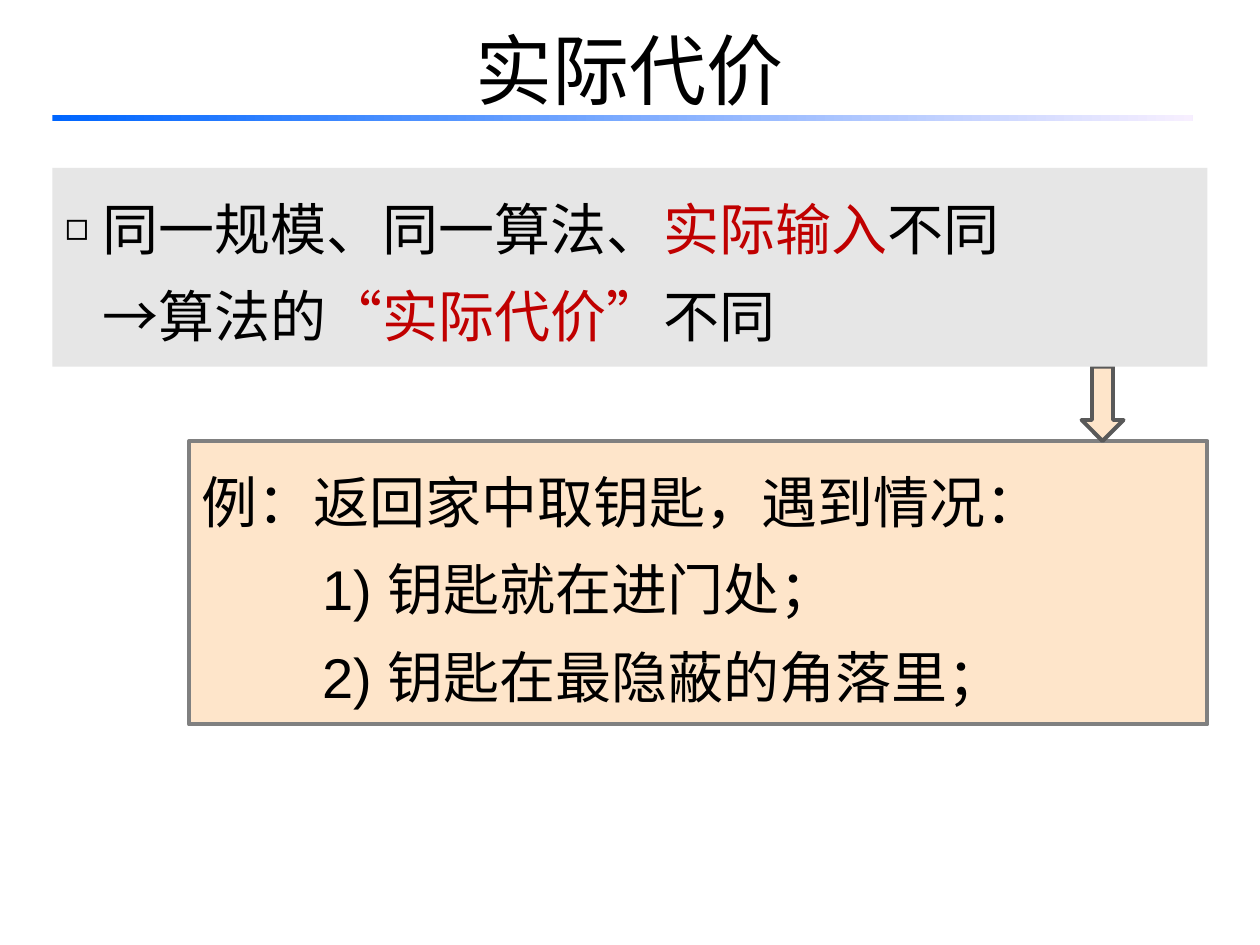
"""Build a slide on how the actual cost of an algorithm depends on its input."""
from lxml import etree
from pptx import Presentation
from pptx.dml.color import RGBColor
from pptx.enum.lang import MSO_LANGUAGE_ID
from pptx.enum.shapes import MSO_SHAPE
from pptx.enum.text import MSO_ANCHOR, PP_ALIGN
from pptx.oxml.ns import qn
from pptx.util import Pt

RECT, DOWN_ARROW = MSO_SHAPE.RECTANGLE, MSO_SHAPE.DOWN_ARROW
TOP, MIDDLE = MSO_ANCHOR.TOP, MSO_ANCHOR.MIDDLE
LEFT, CENTER = PP_ALIGN.LEFT, PP_ALIGN.CENTER
CHINESE = MSO_LANGUAGE_ID.SIMPLIFIED_CHINESE
FONT = "Arial"
COLORS = {
    "text": "000000", "accent": "C00000", "panel": "E6E6E6", "peach": "FEE5CA",
    "border": "808080", "arrow": "595959", "rule_start": "0066FF", "rule_end": "F7EFFF",
}


def rgb(name):
    """Return the named colour."""
    return RGBColor.from_string(COLORS[name])


def add_block(s, kind, box, fill, line=None):
    """Add a filled preset shape with an optional outline."""
    sp = s.shapes.add_shape(kind, *map(Pt, box))
    sp.shadow.inherit = False
    sp.fill.solid()
    sp.fill.fore_color.rgb = rgb(fill)
    if line:
        sp.line.color.rgb = rgb(line)
        sp.line.width = Pt(2.25)
    else:
        sp.line.fill.background()
    return sp


def add_rule(s, box):
    """Add the thin gradient bar under the title."""
    sp = add_block(s, RECT, box, "rule_start")
    sp.fill.gradient()
    sp.fill.gradient_angle = 0
    for stop, name in zip(sp.fill.gradient_stops, ("rule_start", "rule_end")):
        stop.color.rgb = rgb(name)


def set_indent(p, left, bullet=None):
    """Indent a paragraph, hanging a small bullet when one is given."""
    pPr = p._p.get_or_add_pPr()
    pPr.set("marL", str(Pt(left)))
    pPr.set("indent", str(Pt(-left if bullet else 0)))
    if bullet:
        etree.SubElement(pPr, qn("a:buSzPct"), val="70000")
        etree.SubElement(pPr, qn("a:buFont"), typeface=FONT)
        etree.SubElement(pPr, qn("a:buChar"), char=bullet)


def write(sp, paragraphs, size=32, spacing=1.3, align=LEFT, anchor=TOP):
    """Write paragraphs given as (indent, bullet, runs)."""
    tf = sp.text_frame
    tf.word_wrap = True
    tf.vertical_anchor = anchor
    for i, (left, bullet, runs) in enumerate(paragraphs):
        p = tf.add_paragraph() if i else tf.paragraphs[0]
        p.alignment = align
        p.line_spacing = spacing
        set_indent(p, left, bullet)
        for text, color in runs:
            r = p.add_run()
            r.text = text
            r.font.name = FONT
            r.font.size = Pt(size)
            r.font.color.rgb = rgb(color)
            r.font.language_id = CHINESE


def main():
    """Build and save the slide."""
    prs = Presentation()
    prs.slide_width, prs.slide_height = Pt(720), Pt(540)
    s = prs.slides.add_slide(prs.slide_layouts[6])

    title = s.shapes.add_textbox(Pt(36), Pt(-6), Pt(648), Pt(90))
    write(title, [(0, None, [("实际代价", "text")])], 44, 1.0, CENTER, MIDDLE)
    add_rule(s, (30, 66, 651.6, 3))

    example = add_block(s, RECT, (108, 252, 582, 162), "peach", "border")
    write(example, [
        (0, None, [("例：返回家中取钥匙，遇到情况：", "text")]),
        (69, None, [("1) 钥匙就在进门处；", "text")]),
        (69, None, [("2) 钥匙在最隐蔽的角落里；", "text")]),
    ])
    add_block(s, DOWN_ARROW, (618, 209.5, 24, 42.5), "peach", "arrow")

    claim = add_block(s, RECT, (30, 96, 660, 113.5), "panel")
    write(claim, [
        (21.5, "◻", [("同一规模、同一算法、", "text"), ("实际输入", "accent"),
                     ("不同", "text")]),
        (21.5, None, [("→算法的", "text"), ("“实际代价”", "accent"), ("不同", "text")]),
    ])

    prs.save("out.pptx")


if __name__ == "__main__":
    main()
